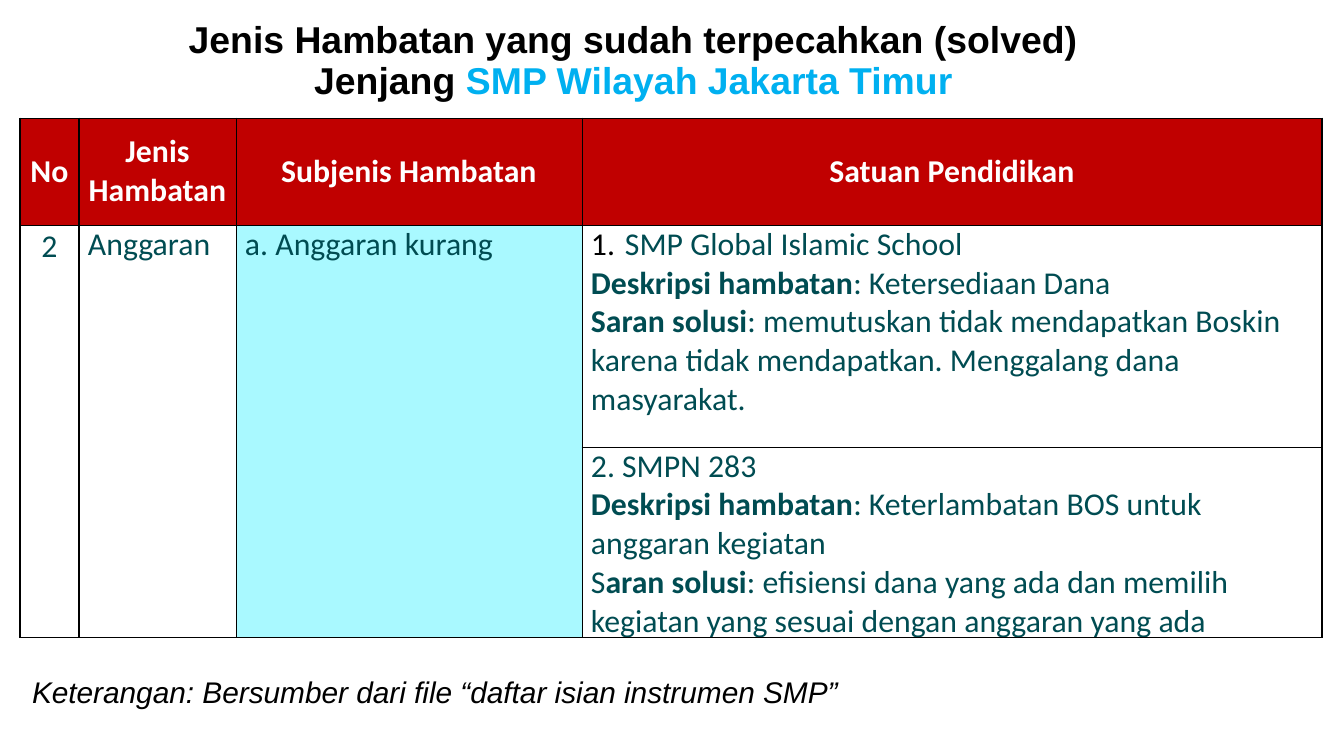
from dataclasses import dataclass

from lxml.etree import SubElement
from pptx import Presentation
from pptx.dml.color import RGBColor as RGB
from pptx.enum.text import MSO_ANCHOR as Anchor, PP_ALIGN as Align
from pptx.oxml.ns import qn
from pptx.util import Emu, Pt

EMU_PER_PX = 9144000 / 1344


@dataclass(frozen=True)
class Theme:
    black: str = "000000"
    white: str = "FFFFFF"
    teal: str = "004C52"
    sky: str = "00B0F0"
    red: str = "C00000"
    aqua: str = "A9F9FF"
    heading_font: str = "Arial"
    table_font: str = "Calibri"
    title_size: int = 20
    table_size: int = 17
    note_size: int = 16
    thin: float = 0.5
    thick: float = 1


T = Theme()


@dataclass(frozen=True)
class Style:
    font: str
    size: int
    color: str
    bold: bool = False
    italic: bool = False


@dataclass(frozen=True)
class Run:
    text: str
    style: Style


@dataclass(frozen=True)
class Para:
    runs: tuple[Run, ...]
    align: Align = Align.LEFT
    spacing: float = 1.0
    left: int = 0
    hang: int = 0
    numbered: bool = False


@dataclass(frozen=True)
class Cell:
    row: int
    col: int
    paras: tuple[Para, ...]
    fill: str | None = None
    margin: int = 9
    anchor: Anchor = Anchor.TOP
    row_span: int = 1


TITLE = Style(T.heading_font, T.title_size, T.black, bold=True)
TITLE_SKY = Style(T.heading_font, T.title_size, T.sky, bold=True)
NOTE = Style(T.heading_font, T.note_size, T.black, italic=True)
HEADER = Style(T.table_font, T.table_size, T.white, bold=True)
BODY = Style(T.table_font, T.table_size, T.teal)
STRONG = Style(T.table_font, T.table_size, T.teal, bold=True)

COLS = (59, 157, 346, 740)
ROWS = (107, 222, 186)
HEADINGS = ("No", "Jenis Hambatan", "Subjenis Hambatan", "Satuan Pendidikan")
EDGE_WIDTHS = (T.thick, T.thick, T.thin, T.thin, T.thick)


def px(n: int) -> Emu:
    return Emu(round(n * EMU_PER_PX))


def plain(text: str, **layout) -> Para:
    return Para((Run(text, BODY),), **layout)


def labelled(label: str, text: str, lead: str = "") -> Para:
    """A bold label and its text, with an optional light lead-in."""
    start = (Run(lead, BODY),) if lead else ()
    return Para(start + (Run(label, STRONG), Run(": " + text, BODY)))


CELLS = [
    Cell(0, c, (Para((Run(text, HEADER),), Align.CENTER),), T.red,
         margin=min(c, 1), anchor=Anchor.MIDDLE)
    for c, text in enumerate(HEADINGS)
] + [
    Cell(1, 0, (plain("2", align=Align.CENTER, spacing=1.07),),
         margin=0, row_span=2),
    Cell(1, 1, (plain("Anggaran"),), row_span=2),
    Cell(1, 2, (plain("a. Anggaran kurang", left=34, hang=34),),
         T.aqua, row_span=2),
    Cell(1, 3, (
        plain("SMP Global Islamic School", left=34, hang=34, numbered=True),
        labelled("Deskripsi hambatan", "Ketersediaan Dana"),
        labelled("Saran solusi", "memutuskan tidak mendapatkan Boskin karena "
                 "tidak mendapatkan. Menggalang dana masyarakat."),
    )),
    Cell(2, 3, (
        plain("2. SMPN 283"),
        labelled("Deskripsi hambatan",
                 "Keterlambatan BOS untuk anggaran kegiatan"),
        labelled("aran solusi", "efisiensi dana yang ada dan memilih kegiatan "
                 "yang sesuai dengan anggaran yang ada", lead="S"),
    )),
]


def write(tf, paras: tuple[Para, ...]) -> None:
    for i, para in enumerate(paras):
        p = tf.paragraphs[0] if i == 0 else tf.add_paragraph()
        p.alignment, p.line_spacing = para.align, para.spacing
        pPr = p._p.get_or_add_pPr()
        pPr.set("marL", str(px(para.left)))
        pPr.set("indent", str(px(-para.hang)))
        if para.numbered:
            color = SubElement(pPr, qn("a:buClr"))
            SubElement(color, qn("a:srgbClr"), val=T.black)
            SubElement(pPr, qn("a:buAutoNum"), type="arabicPeriod")
        for run in para.runs:
            for i_line, line in enumerate(run.text.split("\n")):
                if i_line:
                    p.add_line_break()
                r = p.add_run()
                r.text = line
                font, style = r.font, run.style
                font.name, font.size = style.font, Pt(style.size)
                font.bold, font.italic = style.bold, style.italic
                font.color.rgb = RGB.from_string(style.color)


def add_text(slide, x: int, y: int, w: int, h: int, para: Para) -> None:
    tf = slide.shapes.add_textbox(px(x), px(y), px(w), px(h)).text_frame
    tf.word_wrap, tf.vertical_anchor = True, Anchor.MIDDLE
    tf.margin_left = tf.margin_right = px(9)
    tf.margin_top = tf.margin_bottom = px(5)
    write(tf, (para,))


def set_borders(cell, col: int) -> None:
    tcPr = cell._tc.get_or_add_tcPr()
    widths = {"L": EDGE_WIDTHS[col], "R": EDGE_WIDTHS[col + 1],
              "T": T.thin, "B": T.thin}
    for side, width in widths.items():
        ln = SubElement(tcPr, qn(f"a:ln{side}"), w=str(Pt(width)))
        fill = SubElement(ln, qn("a:solidFill"))
        SubElement(fill, qn("a:srgbClr"), val=T.black)


def add_obstacle_table(slide, x: int, y: int) -> None:
    table = slide.shapes.add_table(len(ROWS), len(COLS), px(x), px(y),
                                   px(sum(COLS)), px(sum(ROWS))).table
    table.first_row = table.horz_banding = False
    for column, width in zip(table.columns, COLS):
        column.width = px(width)
    for row, height in zip(table.rows, ROWS):
        row.height = px(height)
        for c, cell in enumerate(row.cells):
            set_borders(cell, c)
            cell.fill.background()
    for item in CELLS:
        cell = table.cell(item.row, item.col)
        if item.row_span > 1:
            cell.merge(table.cell(item.row + item.row_span - 1, item.col))
        cell.margin_left = cell.margin_right = px(item.margin)
        cell.margin_top = cell.margin_bottom = 0
        cell.vertical_anchor = item.anchor
        if item.fill:
            cell.fill.solid()
            cell.fill.fore_color.rgb = RGB.from_string(item.fill)
        write(cell.text_frame, item.paras)


def main() -> None:
    prs = Presentation()
    prs.slide_width, prs.slide_height = px(1344), px(756)
    slide = prs.slides.add_slide(prs.slide_layouts[6])
    add_text(slide, 12, 1, 1243, 122, Para((
        Run("Jenis Hambatan yang sudah terpecahkan (solved)\nJenjang ", TITLE),
        Run("SMP Wilayah Jakarta Timur", TITLE_SKY),
    ), Align.CENTER, 0.9))
    add_obstacle_table(slide, 20, 118)
    add_text(slide, 23, 664, 1232, 59, Para((
        Run("Keterangan: Bersumber dari file “daftar isian instrumen SMP”", NOTE),
    ), spacing=0.9))
    prs.save("out.pptx")


if __name__ == "__main__":
    main()
